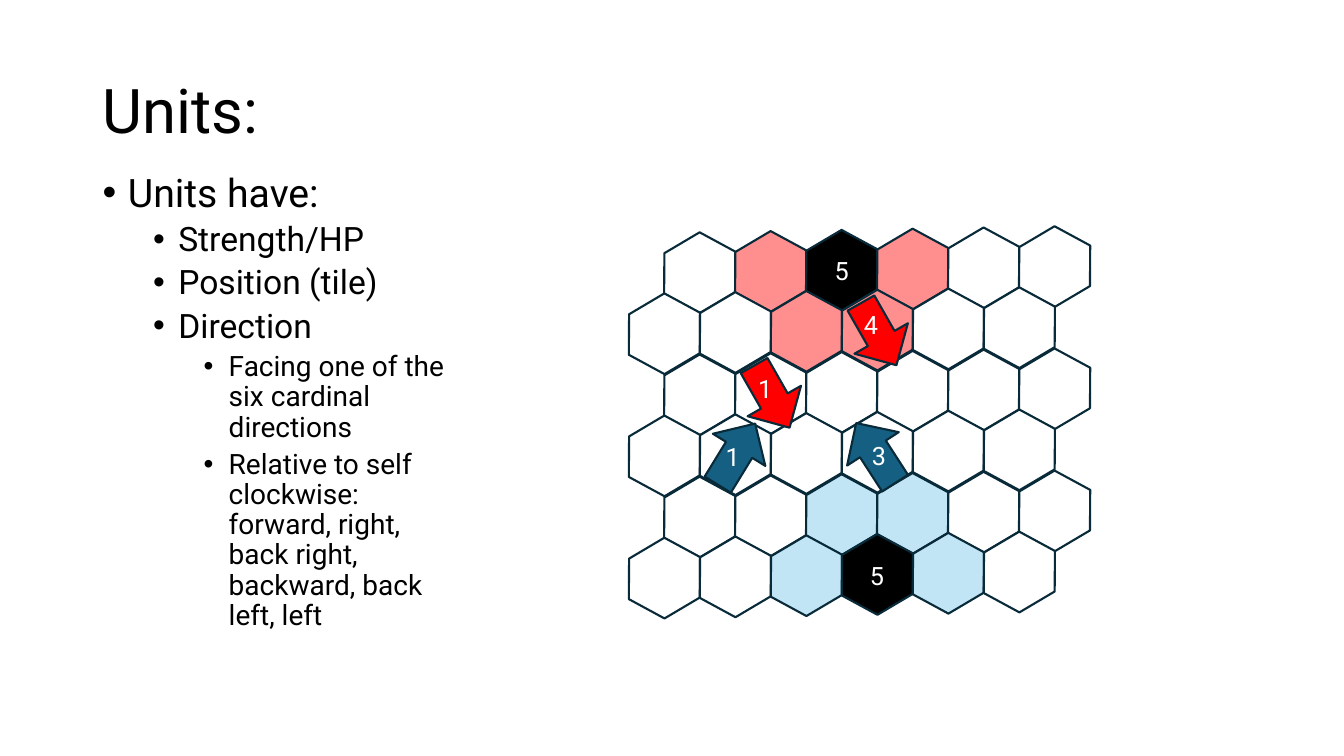
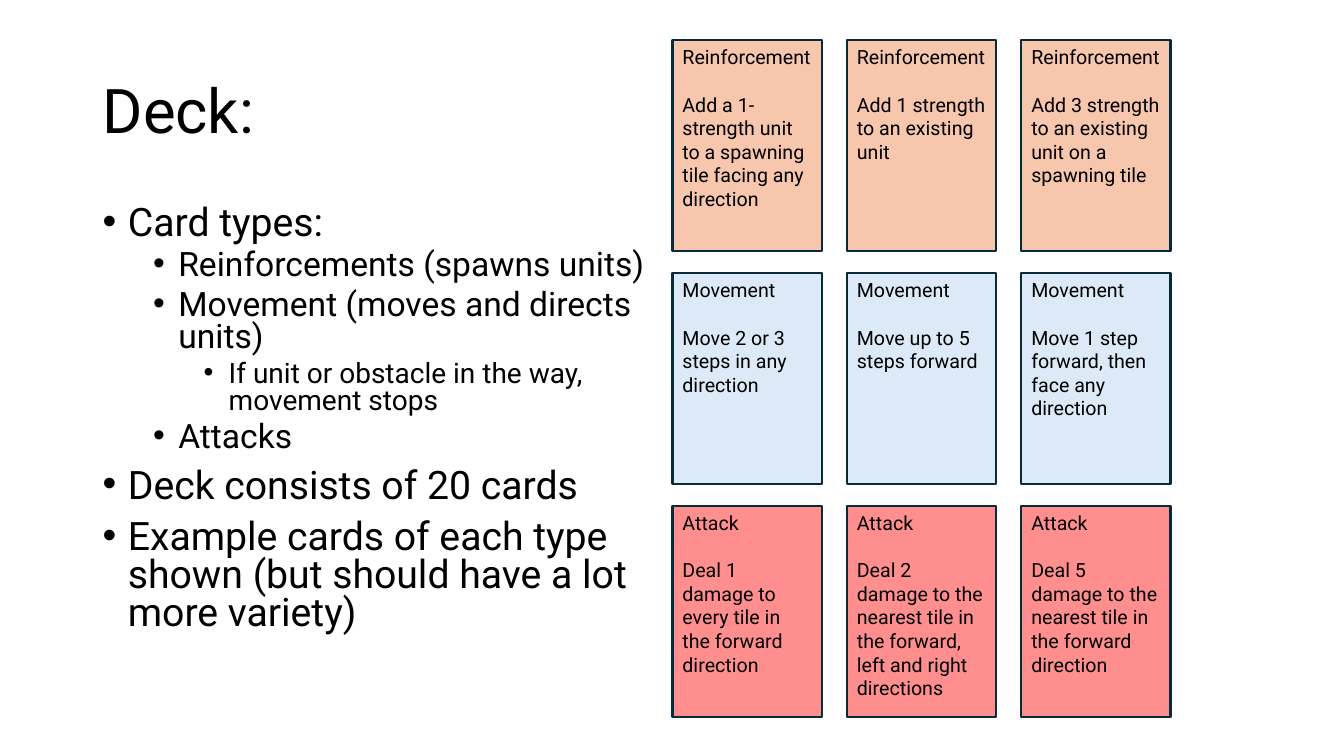
from dataclasses import dataclass

from lxml.etree import SubElement
from pptx import Presentation
from pptx.dml.color import RGBColor
from pptx.enum.shapes import MSO_SHAPE
from pptx.enum.text import MSO_ANCHOR, PP_ALIGN
from pptx.oxml.ns import qn
from pptx.util import Inches, Pt

FONT = "Roboto"
BLACK, WHITE, EDGE = "000000", "FFFFFF", "092A39"
PINK, RED, SKY, BLUE = "FF8F8F", "FF0000", "C1E5F5", "156082"
PEACH, PALE = "F6C6AD", "DCEAF7"
SIZES = (28, 24, 20)

HEX_FILLS = {".": WHITE, "p": PINK, "s": SKY, "k": BLACK}
BOARD = (".pkp..", "..pp..", "......", "......", "..ss..", "..sks.")


@dataclass
class Box:
    x: float
    y: float
    w: float
    h: float


@dataclass
class Item:
    text: str
    level: int = 0


@dataclass
class Unit:
    x: float
    y: float
    turn: float
    fill: str


@dataclass
class Mark:
    text: str
    x: float
    y: float


@dataclass
class Deck:
    name: str
    fill: str
    rules: tuple[str, ...]


UNITS = (
    Unit(6.95, 4.2, 301.5, BLUE),
    Unit(8.33, 4.19, 237.1, BLUE),
    Unit(8.36, 3.01, 60.3, RED),
    Unit(7.3, 3.63, 60.3, RED),
)
MARKS = (
    Mark("1", 7.1, 4.33),
    Mark("3", 8.55, 4.32),
    Mark("4", 8.47, 3.02),
    Mark("1", 7.42, 3.65),
    Mark("5", 8.18, 2.48),
    Mark("5", 8.53, 5.51),
)
TRAITS = (
    Item("Units have:"),
    Item("Strength/HP", 1),
    Item("Position (tile)", 1),
    Item("Direction", 1),
    Item("Facing one of the six cardinal directions", 2),
    Item("Relative to self clockwise: forward, right, back right, "
         "backward, back left, left", 2),
)
TYPES = (
    Item("Card types:"),
    Item("Reinforcements (spawns units)", 1),
    Item("Movement (moves and directs units)", 1),
    Item("If unit or obstacle in the way, movement stops", 2),
    Item("Attacks", 1),
    Item("Deck consists of 20 cards"),
    Item("Example cards of each type shown (but should have a lot more variety)"),
)
DECKS = (
    Deck("Reinforcement", PEACH, (
        "Add a 1-strength unit to a spawning tile facing any direction",
        "Add 1 strength to an existing unit",
        "Add 3 strength to an existing unit on a spawning tile")),
    Deck("Movement", PALE, (
        "Move 2 or 3 steps in any direction",
        "Move up to 5 steps forward",
        "Move 1 step forward, then face any direction")),
    Deck("Attack", PINK, (
        "Deal 1 damage to every tile in the forward direction",
        "Deal 2 damage to the nearest tile in the forward, left and right directions",
        "Deal 5 damage to the nearest tile in the forward direction")),
)


def color(code: str) -> RGBColor:
    return RGBColor.from_string(code)


def area(box: Box) -> tuple:
    return Inches(box.x), Inches(box.y), Inches(box.w), Inches(box.h)


def add_run(para, text: str, size: float, code: str = BLACK) -> None:
    run = para.add_run()
    run.text = text
    run.font.name = FONT
    run.font.size = Pt(size)
    run.font.color.rgb = color(code)


def add_text(slide, box: Box, wrap: bool = True):
    frame = slide.shapes.add_textbox(*area(box)).text_frame
    frame.word_wrap = wrap
    return frame


def add_form(slide, kind: MSO_SHAPE, box: Box, fill: str, turn: float = 0):
    form = slide.shapes.add_shape(kind, *area(box))
    form.shadow.inherit = False
    form.rotation = turn
    form.fill.solid()
    form.fill.fore_color.rgb = color(fill)
    form.line.color.rgb = color(EDGE)
    form.line.width = Pt(1.5)
    return form


def add_title(slide, text: str) -> None:
    frame = add_text(slide, Box(0.92, 0.4, 11.5, 1.45))
    frame.vertical_anchor = MSO_ANCHOR.MIDDLE
    para = frame.paragraphs[0]
    para.line_spacing = 0.9
    add_run(para, text, 44)


def add_list(slide, box: Box, items: tuple[Item, ...], pitch: float) -> None:
    frame = add_text(slide, box)
    for i, item in enumerate(items):
        para = frame.add_paragraph() if i else frame.paragraphs[0]
        para.level = item.level
        para.line_spacing = pitch
        para.space_before = Pt(5 if item.level else 10)
        props = para._p.get_or_add_pPr()
        props.set("marL", str(Inches(0.25 + 0.5 * item.level)))
        props.set("indent", str(Inches(-0.25)))
        SubElement(props, qn("a:buFont")).set("typeface", "Arial")
        SubElement(props, qn("a:buChar")).set("char", "•")
        add_run(para, item.text, SIZES[item.level])


def add_board(slide) -> None:
    """Draw the hex grid, odd rows half a tile to the left."""
    for row, codes in enumerate(BOARD):
        for col, code in enumerate(codes):
            x = 6.53 + col * 3.52 / 5 - row % 2 * 0.35
            y = 2.36 + row * 3.03 / 5 - col * 0.06 / 5
            tile = add_form(slide, MSO_SHAPE.HEXAGON, Box(x, y, 0.82, 0.69),
                            HEX_FILLS[code], 329.4)
            tile.adjustments[0] = 0.3


def add_card(slide, box: Box, fill: str, name: str, rule: str) -> None:
    frame = add_form(slide, MSO_SHAPE.RECTANGLE, box, fill).text_frame
    frame.word_wrap = True
    frame.vertical_anchor = MSO_ANCHOR.TOP
    head, body = frame.paragraphs[0], frame.add_paragraph()
    body.space_before = Pt(17)
    for para, text in ((head, name), (body, rule)):
        para.alignment = PP_ALIGN.LEFT
        add_run(para, text, 14)


def draw_units(slide) -> None:
    add_title(slide, "Units:")
    add_list(slide, Box(0.92, 1.67, 3.75, 4.76), TRAITS, 0.9)
    add_board(slide)
    for unit in UNITS:
        add_form(slide, MSO_SHAPE.RIGHT_ARROW, Box(unit.x, unit.y, 0.71, 0.61),
                 unit.fill, unit.turn)
    for mark in MARKS:
        frame = add_text(slide, Box(mark.x, mark.y, 0.34, 0.4), wrap=False)
        add_run(frame.paragraphs[0], mark.text, 18, WHITE)


def draw_cards(slide) -> None:
    add_title(slide, "Deck:")
    add_list(slide, Box(0.92, 2, 5.75, 4.76), TYPES, 0.8)
    for row, deck in enumerate(DECKS):
        for col, rule in enumerate(deck.rules):
            box = Box(6.67 + 1.73 * col, 0.4 + 2.31 * row, 1.48, 2.09)
            add_card(slide, box, deck.fill, deck.name, rule)


def main() -> None:
    show = Presentation()
    show.slide_width, show.slide_height = Inches(13.33), Inches(7.5)
    for draw in (draw_units, draw_cards):
        draw(show.slides.add_slide(show.slide_layouts[6]))
    show.save("out.pptx")


if __name__ == "__main__":
    main()
